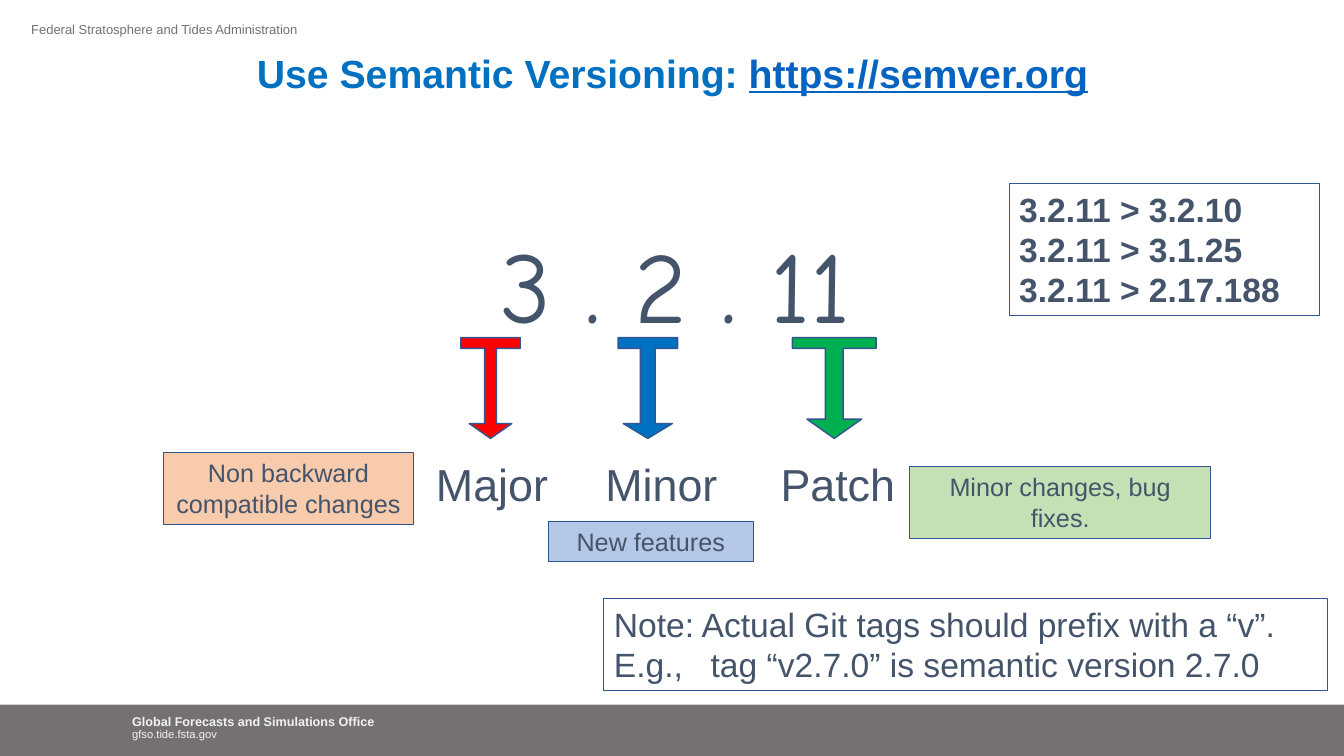
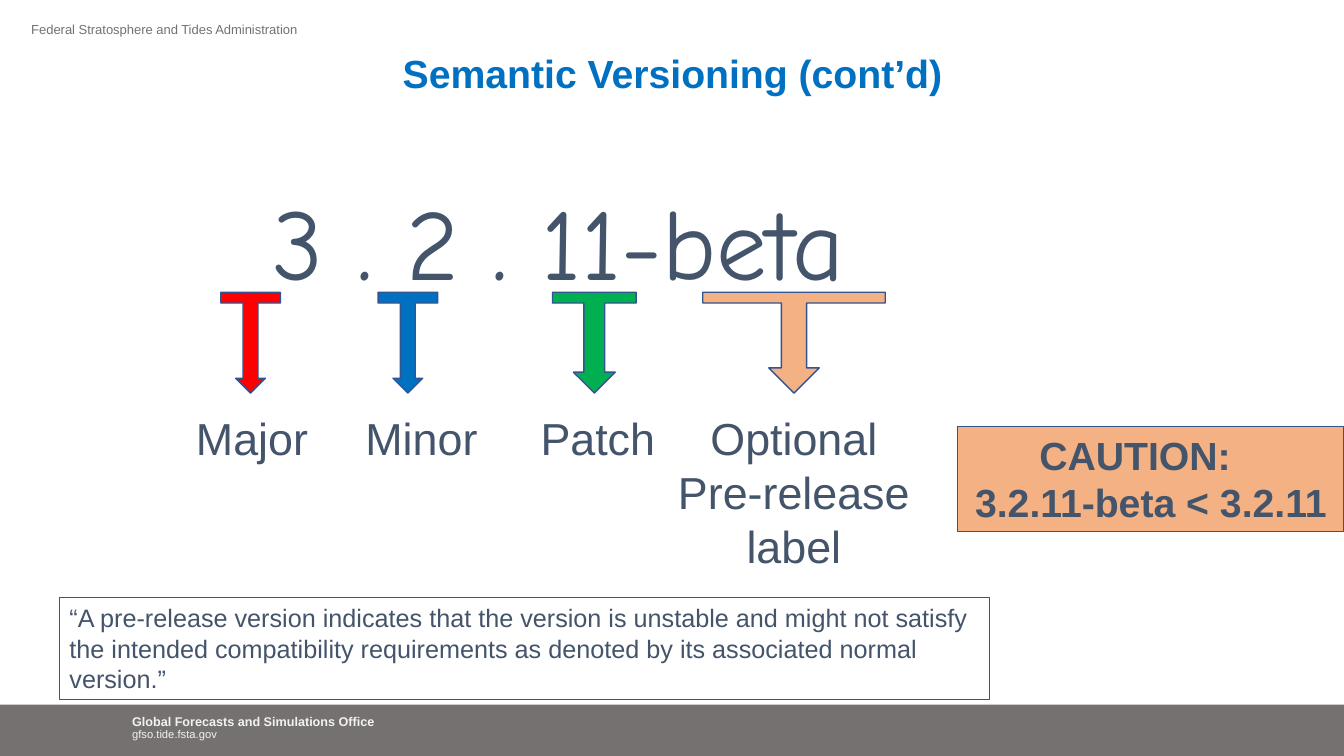
"""Build two slides that explain semantic versioning."""
from pptx import Presentation
from pptx.dml.color import RGBColor
from pptx.enum.shapes import MSO_SHAPE
from pptx.enum.text import MSO_ANCHOR, PP_ALIGN
from pptx.util import Inches, Pt

WHITE = RGBColor(0xFF, 0xFF, 0xFF)
GRAY = RGBColor(0x76, 0x71, 0x71)
PALE = RGBColor(0xF2, 0xF2, 0xF2)
SLATE = RGBColor(0x44, 0x54, 0x6A)
NAVY = RGBColor(0x32, 0x54, 0x91)
LINK = RGBColor(0x05, 0x63, 0xC1)
RED = RGBColor(0xFF, 0x00, 0x00)
BLUE = RGBColor(0x00, 0x70, 0xC0)
GREEN = RGBColor(0x00, 0xB0, 0x50)
ORANGE = RGBColor(0xF4, 0xB1, 0x83)
PEACH = RGBColor(0xF8, 0xCB, 0xAD)
LIGHT_BLUE = RGBColor(0xB4, 0xC7, 0xE7)
LIGHT_GREEN = RGBColor(0xC5, 0xE0, 0xB4)

SLIDE_W, SLIDE_H = 13.33, 7.5
BAND_TOP = 6.99
ARROW_TOP, LABEL_TOP = 3.35, 4.48
PARTS = [
    ("Major", RED, 4.57, 0.59, 4.19),
    ("Minor", BLUE, 6.13, 0.59, 5.87),
    ("Patch", GREEN, 7.86, 0.83, 7.62),
]
PLAIN_ARROW = (0.25, 0.25, 0.25, 0.107)


def format_run(r, size, color=SLATE, bold=False, font="Arial"):
    """Set the font of one run."""
    r.font.name = font
    r.font.size = Pt(size)
    r.font.bold = bold
    r.font.color.rgb = color


def write(sp, text, size, align=PP_ALIGN.CENTER, color=SLATE, bold=False,
          font="Arial", spacing=1.0, insets=(0.1, 0.05)):
    """Fill a shape with evenly formatted paragraphs."""
    tf = sp.text_frame
    tf.text = text
    tf.word_wrap = True
    tf.vertical_anchor = MSO_ANCHOR.TOP
    tf.margin_left = tf.margin_right = Inches(insets[0])
    tf.margin_top = tf.margin_bottom = Inches(insets[1])
    for p in tf.paragraphs:
        p.alignment = align
        p.line_spacing = spacing
        for r in p.runs:
            format_run(r, size, color, bold, font)
    return tf


def add_text(s, at, text, size, **style):
    """Add a text box."""
    sp = s.shapes.add_textbox(*map(Inches, at))
    return write(sp, text, size, **style)


def add_figure(s, kind, at, fill=None, line_width=None):
    """Add a preset shape with an optional fill and outline."""
    sp = s.shapes.add_shape(kind, *map(Inches, at))
    sp.shadow.inherit = False
    if fill is None:
        sp.fill.background()
    else:
        sp.fill.solid()
        sp.fill.fore_color.rgb = fill
    if line_width is None:
        sp.line.fill.background()
    else:
        sp.line.color.rgb = NAVY
        sp.line.width = Pt(line_width)
    return sp


def add_box(s, at, text, size, fill=None, **style):
    """Add an outlined box with text."""
    sp = add_figure(s, MSO_SHAPE.RECTANGLE, at, fill, 0.75)
    return write(sp, text, size, **style)


def add_arrow(s, left, top, width, fill, adjustments=PLAIN_ARROW):
    """Add a down arrow that hangs from a bar."""
    sp = add_figure(s, MSO_SHAPE.DOWN_ARROW_CALLOUT, (left, top, width, 1), fill, 1)
    for i, value in enumerate(adjustments):
        sp.adjustments[i] = value


def add_version(s, at, text):
    """Add the large version number."""
    add_text(s, at, text, 72, font="Comic Neue")


def add_parts(s, dx=0, dy=0, adjustments=(PLAIN_ARROW,) * 3):
    """Add the arrows and labels of the three version parts."""
    for (name, color, left, width, label_left), adj in zip(PARTS, adjustments):
        add_arrow(s, left + dx, ARROW_TOP + dy, width, color, adj)
        add_text(s, (label_left + dx, LABEL_TOP + dy, 1.38, 0.64), name, 32)


def add_slide(prs, title):
    """Add a slide with the shared header, footer and title."""
    s = prs.slides.add_slide(prs.slide_layouts[6])
    s.background.fill.solid()
    s.background.fill.fore_color.rgb = WHITE
    add_figure(s, MSO_SHAPE.RECTANGLE,
               (0, BAND_TOP, SLIDE_W, SLIDE_H - BAND_TOP), GRAY)
    tf = add_text(s, (1.31, 7.1, 2.82, 0.26),
                  "Global Forecasts and Simulations Office\ngfso.tide.fsta.gov", 9,
                  align=PP_ALIGN.LEFT, color=PALE, bold=True, spacing=0.9,
                  insets=(0, 0))
    format_run(tf.paragraphs[1].runs[0], 8, PALE)
    add_text(s, (0.16, 0.14, 3.91, 0.34),
             "Federal Stratosphere and Tides Administration", 9.3,
             align=PP_ALIGN.LEFT, color=GRAY, insets=(0.15, 0.07))
    tf = add_text(s, (0.92, 0.49, 11.5, 0.9), title, 28,
                  color=BLUE, bold=True, spacing=0.9)
    return s, tf


def build_semver(prs):
    """Build the slide on the three parts of a version."""
    s, tf = add_slide(prs, "Use Semantic Versioning: ")
    r = tf.paragraphs[0].add_run()
    r.text = "https://semver.org"
    format_run(r, 28, LINK, True)
    r.font.underline = True
    add_version(s, (1.16, 2.16, 11.08, 1.31), "3 . 2 . 11")
    add_parts(s, adjustments=((0.196, 0.358, 0.25, 0.107),
                              (0.25, 0.412, 0.25, 0.107),
                              (0.212, 0.327, 0.231, 0.107)))
    tf = add_box(s, (5.99, 5.94, 7.18, 0.91),
                 "Note: Actual Git tags should prefix with a “v”.\n"
                 "E.g.,\ttag “v2.7.0” is semantic version 2.7.0",
                 24, align=PP_ALIGN.LEFT)
    pPr = tf.paragraphs[1]._p.get_or_add_pPr()
    tabs = pPr.makeelement(pPr.tag.replace("}pPr", "}tabLst"), {})
    tab = pPr.makeelement(pPr.tag.replace("}pPr", "}tab"),
                          {"pos": str(Inches(0.96)), "algn": "l"})
    tabs.append(tab)
    pPr.append(tabs)
    add_box(s, (1.62, 4.49, 2.48, 0.71), "Non backward compatible changes", 18, PEACH)
    add_box(s, (5.44, 5.17, 2.03, 0.4), "New features", 18, LIGHT_BLUE)
    add_box(s, (9.02, 4.63, 2.99, 0.71), "Minor changes, bug fixes.", 18, LIGHT_GREEN)
    add_box(s, (10.01, 1.82, 3.08, 1.31),
            "3.2.11 > 3.2.10\n3.2.11 > 3.1.25\n3.2.11 > 2.17.188",
            24, align=PP_ALIGN.LEFT, bold=True)


def build_prerelease(prs):
    """Build the slide on pre-release labels."""
    s, _ = add_slide(prs, "Semantic Versioning (cont’d)")
    dx, dy = -2.38, -0.45
    add_version(s, (0, 1.73, 11.08, 1.31), "3 . 2 . 11-beta")
    add_parts(s, dx, dy)
    add_arrow(s, 6.97, ARROW_TOP + dy, 1.81, ORANGE)
    add_text(s, (6.51, LABEL_TOP + dy, 2.73, 1.72), "Optional\nPre-release label", 32)
    tf = add_box(s, (9.5, 4.23, 3.83, 1.04), "CAUTION:\n3.2.11-beta < 3.2.11",
                 28, ORANGE, bold=True)
    p = tf.paragraphs[0]
    p.alignment = PP_ALIGN.LEFT
    p._p.get_or_add_pPr().set("marL", str(Inches(0.71)))
    add_box(s, (0.59, 5.93, 9.22, 1.01),
            "“A pre-release version indicates that the version is unstable and might "
            "not satisfy the intended compatibility requirements as denoted by its "
            "associated normal version.”", 18, align=PP_ALIGN.LEFT)


def main():
    """Create and save the presentation."""
    prs = Presentation()
    prs.slide_width = Inches(SLIDE_W)
    prs.slide_height = Inches(SLIDE_H)
    build_semver(prs)
    build_prerelease(prs)
    prs.save("out.pptx")


if __name__ == "__main__":
    main()
